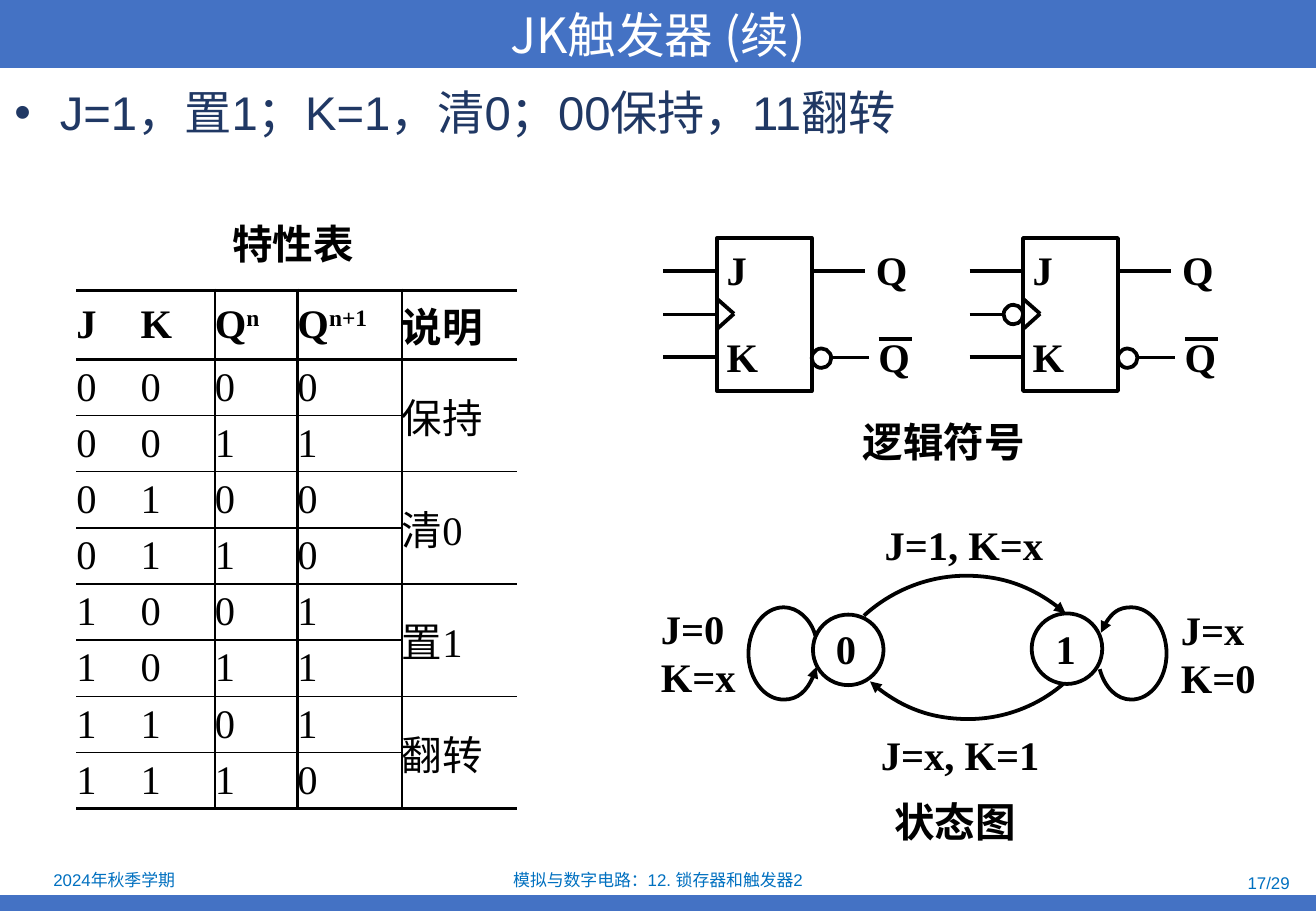
from lxml import etree
from pptx import Presentation
from pptx.dml.color import RGBColor
from pptx.enum.shapes import MSO_CONNECTOR, MSO_SHAPE
from pptx.enum.text import MSO_ANCHOR, PP_ALIGN
from pptx.oxml.ns import qn
from pptx.util import Pt

RECT, OVAL = MSO_SHAPE.RECTANGLE, MSO_SHAPE.OVAL
STRAIGHT = MSO_CONNECTOR.STRAIGHT
LEFT, CENTER, RIGHT = PP_ALIGN.LEFT, PP_ALIGN.CENTER, PP_ALIGN.RIGHT
TOP, MIDDLE = MSO_ANCHOR.TOP, MSO_ANCHOR.MIDDLE
COLORS = {"band": "4472C4", "footer": "0070C0", "body": "203864",
          "ink": "000000", "paper": "FFFFFF"}
SANS, SERIF, CJK = "Arial", "Times New Roman", "Noto Sans CJK SC"
THIN, THICK = 1, 2.25


def write(tf, text, size=24, font=SERIF, color="ink", bold=True, align=LEFT, anchor=TOP):
    tf.word_wrap = True
    tf.vertical_anchor = anchor
    tf.text = text
    for p in tf.paragraphs:
        p.alignment = align
        base, *superscripts = p.text.split("^")
        p.text = base
        for superscript in superscripts:
            r = p.add_run()
            r.text = superscript
            r.font._element.set("baseline", "30000")
        for r in p.runs:
            r.font.size = Pt(size)
            r.font.bold = bold
            r.font.color.rgb = RGBColor.from_string(COLORS[color])
            r.font.name = font
            etree.SubElement(r.font._element, qn("a:ea"), typeface=CJK)


def stroke(sp):
    sp.line.color.rgb = RGBColor.from_string(COLORS["ink"])
    sp.line.width = Pt(THICK)
    etree.SubElement(sp._element.spPr, qn("a:effectLst"))


prs = Presentation()
prs.slide_width, prs.slide_height = Pt(779.76), Pt(540)
s = prs.slides.add_slide(prs.slide_layouts[6])

for top, height, title in [(0, 40.3, "JK触发器 (续)"), (530.6, 9.4, "")]:
    sp = s.shapes.add_shape(RECT, 0, Pt(top), prs.slide_width, Pt(height))
    sp.fill.solid()
    sp.fill.fore_color.rgb = RGBColor.from_string(COLORS["band"])
    sp.line.fill.background()
    sp.shadow.inherit = False
    if title:
        write(sp.text_frame, title, 28.8, CJK, "paper", False, CENTER, MIDDLE)

sp = s.shapes.add_textbox(Pt(1.4), Pt(46), Pt(778), Pt(468))
write(sp.text_frame, "J=1，置1；K=1，清0；00保持，11翻转", 28, SANS, "body", False)
pPr = sp.text_frame.paragraphs[0]._p.get_or_add_pPr()
pPr.set("marL", str(Pt(27)))
pPr.set("indent", str(Pt(-27)))
etree.SubElement(pPr, qn("a:buFont"), typeface=SANS)
etree.SubElement(pPr, qn("a:buChar"), char="•")

for x, y, w, h, text, align in [
    (1.4, 513.4, 132.5, 16.6, "2024年秋季学期", CENTER),
    (266.4, 514, 247, 15, "模拟与数字电路：12. 锁存器和触发器2", CENTER),
    (589, 515.5, 182.2, 15, "17/29", RIGHT),
]:
    sp = s.shapes.add_textbox(Pt(x), Pt(y), Pt(w), Pt(h))
    write(sp.text_frame, text, 10, SANS, "footer", False, align, MIDDLE)

rows = [
    ("J", "K", "Q^n", "Q^n+1", "说明"),
    ("0", "0", "0", "0", "保持"),
    ("0", "0", "1", "1", ""),
    ("0", "1", "0", "0", "清0"),
    ("0", "1", "1", "0", ""),
    ("1", "0", "0", "1", "置1"),
    ("1", "0", "1", "1", ""),
    ("1", "1", "0", "1", "翻转"),
    ("1", "1", "1", "0", ""),
]
col_widths = [38.2, 43.9, 49, 61.9, 68.4]
row_heights = [41] + [33.3] * 8
h_rules = [THICK, THICK] + [THIN] * 7 + [THICK]
v_rules = [0, 0, THIN, THICK, THIN, 0]
frame = s.shapes.add_table(len(rows), len(col_widths), Pt(45.2), Pt(172.1),
                           Pt(sum(col_widths)), Pt(sum(row_heights)))
table = frame.table
table.first_row = table.horz_banding = False
table._tbl.tblPr.find(qn("a:tableStyleId")).text = "{2D5ABB26-0587-4C30-8999-92F81FD0307C}"
for col, width in zip(table.columns, col_widths):
    col.width = Pt(width)
for row, height in zip(table.rows, row_heights):
    row.height = Pt(height)
for i in range(1, 9, 2):
    table.cell(i, 4).merge(table.cell(i + 1, 4))
for i, values in enumerate(rows):
    for j, value in enumerate(values):
        cell = table.cell(i, j)
        if cell.is_spanned:
            continue
        cell.margin_left = cell.margin_right = cell.margin_top = cell.margin_bottom = 0
        cell.vertical_anchor = MIDDLE
        cell.fill.background()
        write(cell.text_frame, value, bold=i == 0)
        bottom = i + (cell.span_height if cell.is_merge_origin else 1)
        edges = [("L", v_rules[j]), ("R", v_rules[j + 1]),
                 ("T", h_rules[i]), ("B", h_rules[bottom])]
        drawn = [(side, width) for side, width in edges if width]
        tcPr = cell._tc.get_or_add_tcPr()
        for k, (side, width) in enumerate(drawn):
            ln = etree.Element(qn("a:ln" + side), w=str(Pt(width)))
            fill = etree.SubElement(ln, qn("a:solidFill"))
            etree.SubElement(fill, qn("a:srgbClr"), val=COLORS["ink"])
            tcPr.insert(k, ln)

bubbles = []
for x, inverted_clock in [(424.8, False), (606.2, True)]:
    body = s.shapes.add_shape(RECT, Pt(x), Pt(141.1), Pt(56.2), Pt(90.7))
    body.fill.background()
    stroke(body)
    for x1, y1, x2, y2 in [
        (-31.7, 186.45, 0, 186.45),
        (-31.7, 160.6, 0, 160.6),
        (-31.7, 211.7, 0, 211.7),
        (56.2, 160.6, 87.8, 160.6),
        (58.3, 212, 90, 212),
        (95.8, 200.9, 115.6, 200.9),
        (0, 177.1, 10.1, 186),
        (0, 195.1, 10.1, 186),
    ]:
        wire = s.shapes.add_connector(STRAIGHT, Pt(x + x1), Pt(y1), Pt(x + x2), Pt(y2))
        if y1 == y2 == 186.45:
            wire.end_connect(body, 1)
        stroke(wire)
    for dx, y, pin in [(-1.4, 141.8, "J"), (-1.4, 193, "K"), (87.1, 141.8, "Q"), (88.6, 193, "Q")]:
        sp = s.shapes.add_textbox(Pt(x + dx), Pt(y), Pt(35), Pt(36))
        write(sp.text_frame, pin)
    bubbles.append((x + 56.2, 206.6, 11.5))
    if inverted_clock:
        bubbles.append((x - 11.5, 180.7, 11.5))

states = [(481.7, 364.3, 41.8), (611.3, 363.6, 41.8)]
for x, y, size in bubbles + states:
    sp = s.shapes.add_shape(OVAL, Pt(x), Pt(y), Pt(size), Pt(size))
    sp.fill.solid()
    sp.fill.fore_color.rgb = RGBColor.from_string(COLORS["paper"])
    stroke(sp)

transitions = [
    [(515.5, 403.9), (531.4, 418.3), (552.2, 426.2), (573.8, 426.2),
     (594, 426.2), (614.2, 419), (630, 405.4)],
    [(631.4, 363.6), (614.9, 349.2), (594, 341.3), (572.4, 341.3),
     (550.1, 341.3), (528.5, 349.9), (511.9, 365)],
    [(652.3, 375.1), (655.9, 365.8), (662.4, 360), (670.3, 360),
     (681.8, 360), (691.2, 372.2), (691.2, 387.4),
     (691.2, 402.5), (681.8, 414.7), (670.3, 414.7),
     (661.7, 414.7), (654.5, 407.5), (651.6, 396.7)],
    [(483.8, 395.3), (481, 406.8), (473, 414.7), (464.4, 414.7),
     (452.9, 414.7), (443.5, 402.5), (443.5, 387.4),
     (443.5, 372.2), (452.9, 360), (464.4, 360),
     (472.3, 360), (480.2, 366.5), (483.1, 376.6)],
]
for points in transitions:
    start, *rest = [(Pt(x), Pt(y)) for x, y in points]
    builder = s.shapes.build_freeform(*start)
    builder.add_line_segments(rest, close=False)
    sp = builder.convert_to_shape()
    sp.fill.background()
    stroke(sp)
    etree.SubElement(sp.line._get_or_add_ln(), qn("a:headEnd"), type="triangle")
    outline = sp._element.find(".//" + qn("a:path"))
    segments = outline.findall(qn("a:lnTo"))
    for k in range(0, len(segments), 3):
        curve = etree.SubElement(outline, qn("a:cubicBezTo"))
        for segment in segments[k:k + 3]:
            curve.append(segment[0])
            outline.remove(segment)

for x, y, w, h, text in [
    (517, 304.6, 112, 36, "J=1, K=x"),
    (514.8, 429.1, 112, 36, "J=x, K=1"),
    (692.6, 355, 62, 65, "J=x\nK=0"),
    (384.5, 354.2, 62, 65, "J=0\nK=x"),
    (488.2, 366.5, 28, 36, "0"),
    (618.5, 366.5, 28, 36, "1"),
]:
    sp = s.shapes.add_textbox(Pt(x), Pt(y), Pt(w), Pt(h))
    write(sp.text_frame, text)

for x, y, w, text in [(123.8, 126, 100, "特性表"), (492.5, 243.4, 133.2, "逻辑符号"),
                      (520, 468.7, 92, "状态图")]:
    sp = s.shapes.add_textbox(Pt(x), Pt(y), Pt(w), Pt(36))
    write(sp.text_frame, text, font=SANS, align=CENTER)

prs.save("out.pptx")
